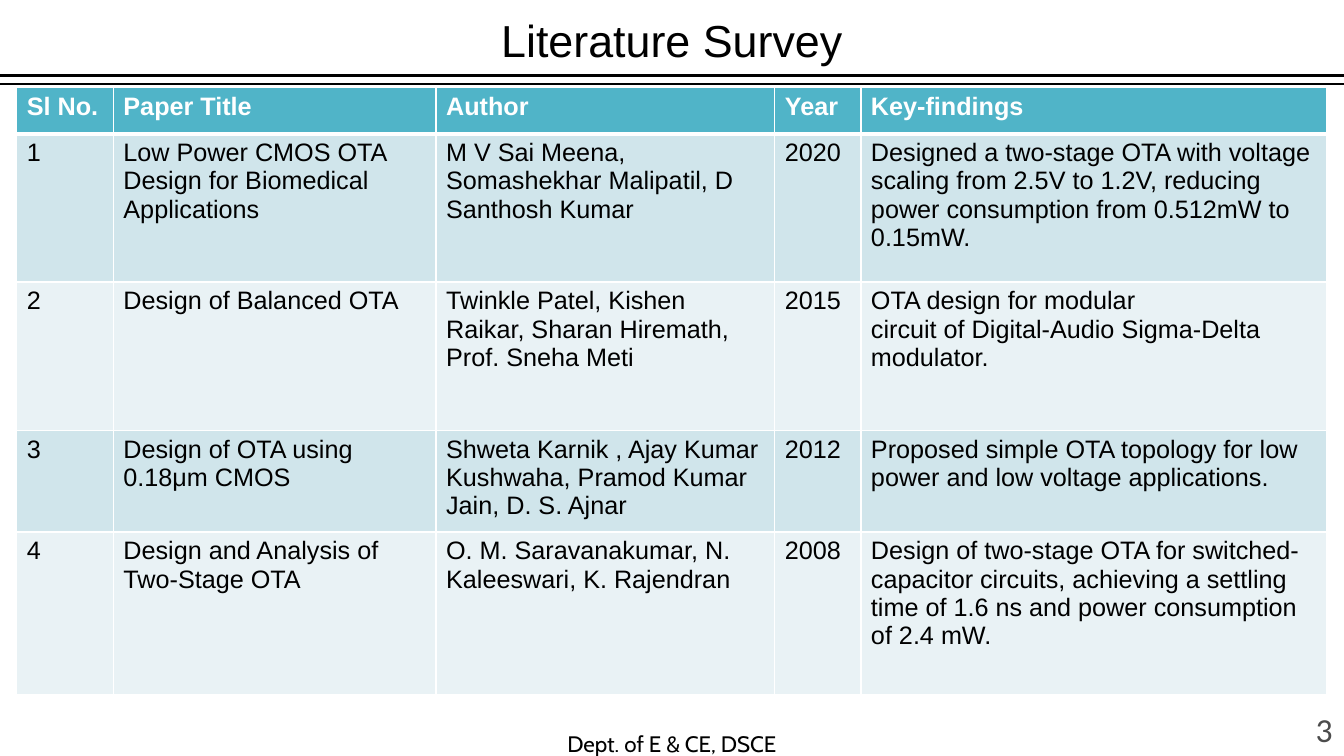
from lxml import etree
from pptx import Presentation
from pptx.dml.color import RGBColor
from pptx.enum.shapes import MSO_CONNECTOR, MSO_SHAPE
from pptx.enum.text import MSO_ANCHOR, PP_ALIGN
from pptx.oxml.ns import qn
from pptx.util import Pt

LEFT, CENTER, RIGHT = PP_ALIGN.LEFT, PP_ALIGN.CENTER, PP_ALIGN.RIGHT
TOP, MIDDLE, BOTTOM = MSO_ANCHOR.TOP, MSO_ANCHOR.MIDDLE, MSO_ANCHOR.BOTTOM

# Content
TITLE = "Literature Survey"
FOOTER = "Dept. of E & CE, DSCE"
PAGE_NUMBER = "3"
SURVEY = [
    ("Sl No.", "Paper Title", "Author", "Year", "Key-findings"),
    ("1", "Low Power CMOS OTA Design for Biomedical Applications",
     "M V Sai Meena, Somashekhar Malipatil, D Santhosh Kumar", "2020",
     "Designed a two-stage OTA with voltage scaling from 2.5V to 1.2V, "
     "reducing power consumption from 0.512mW to 0.15mW."),
    ("2", "Design of Balanced OTA",
     "Twinkle Patel, Kishen Raikar, Sharan Hiremath, Prof. Sneha Meti", "2015",
     "OTA design for modular\ncircuit of Digital-Audio Sigma-Delta modulator."),
    ("3", "Design of OTA using 0.18μm CMOS",
     "Shweta Karnik , Ajay Kumar Kushwaha, Pramod Kumar Jain, D. S. Ajnar", "2012",
     "Proposed simple OTA topology for low power and low voltage applications."),
    ("4", "Design and Analysis of Two-Stage OTA",
     "O. M. Saravanakumar, N. Kaleeswari, K. Rajendran", "2008",
     "Design of two-stage OTA for switched-capacitor circuits, achieving a "
     "settling time of 1.6 ns and power consumption of 2.4 mW."),
]

# Layout and colours
WIDTH, HEIGHT = 960, 540
RULES_Y = (54, 60)
TABLE_LEFT, TABLE_TOP = 12, 62.5
COLUMN_WIDTHS = (69, 230.5, 242, 61.5, 332.5)
ROW_HEIGHTS = (33, 106, 106, 72.5, 116.5)
BLACK, WHITE = "000000", "FFFFFF"
HEADER_FILL, BAND_FILLS = "50B4C8", ("D0E5EB", "E9F2F5")


def color(value):
    return RGBColor.from_string(value)


def write(text_frame, text, size, font, align=LEFT, anchor=TOP, ink=BLACK, bold=False):
    text_frame.text = text
    text_frame.word_wrap = True
    text_frame.vertical_anchor = anchor
    for paragraph in text_frame.paragraphs:
        paragraph.alignment = align
        for run in paragraph.runs:
            run.font.size, run.font.name, run.font.bold = Pt(size), font, bold
            run.font.color.rgb = color(ink)


def add_panel(preset, left, top, width, height):
    shape = slide.shapes.add_shape(preset, Pt(left), Pt(top), Pt(width), Pt(height))
    shape.shadow.inherit = False
    shape.fill.solid()
    shape.fill.fore_color.rgb = color(WHITE)
    shape.line.fill.background()
    return shape


def add_rule(y):
    line = slide.shapes.add_connector(MSO_CONNECTOR.STRAIGHT, 0, Pt(y), Pt(WIDTH), Pt(y))
    line.line.color.rgb = color(BLACK)
    line.line.width = Pt(2)
    etree.SubElement(line._element.spPr, qn("a:effectLst"))


def set_borders(cell, widths):
    properties = cell._tc.get_or_add_tcPr()
    for position, (side, width) in enumerate(widths.items()):
        border = etree.Element(qn(f"a:ln{side}"), w=str(Pt(width)))
        fill = etree.SubElement(border, qn("a:solidFill"))
        etree.SubElement(fill, qn("a:srgbClr"), val=WHITE)
        properties.insert(position, border)


presentation = Presentation()
presentation.slide_width, presentation.slide_height = Pt(WIDTH), Pt(HEIGHT)
slide = presentation.slides.add_slide(presentation.slide_layouts[6])

# Title and rules
title = add_panel(MSO_SHAPE.ROUNDED_RECTANGLE, 0, 0, WIDTH, 57)
write(title.text_frame, TITLE, 32, "Arial", CENTER, MIDDLE)
for rule_y in RULES_Y:
    add_rule(rule_y)

# Footer and page number
footer = slide.shapes.add_textbox(Pt(282), Pt(522), Pt(396), Pt(18))
write(footer.text_frame, FOOTER, 16, "Cabin", CENTER, MIDDLE)
page = add_panel(MSO_SHAPE.RECTANGLE, 913, 502.5, 46, 36)
write(page.text_frame, PAGE_NUMBER, 24, "Calibri", RIGHT, BOTTOM)
for ink in page.text_frame._txBody.iter(qn("a:srgbClr")):
    etree.SubElement(ink, qn("a:alpha"), val="70000")

# Survey table
table = slide.shapes.add_table(
    len(SURVEY), len(COLUMN_WIDTHS), Pt(TABLE_LEFT), Pt(TABLE_TOP),
    Pt(sum(COLUMN_WIDTHS)), Pt(sum(ROW_HEIGHTS))).table
for column, width in zip(table.columns, COLUMN_WIDTHS):
    column.width = Pt(width)
for index, (row, height, texts) in enumerate(zip(table.rows, ROW_HEIGHTS, SURVEY)):
    row.height = Pt(height)
    header = index == 0
    for cell, text in zip(row.cells, texts):
        write(cell.text_frame, text, 18, "Arial", ink=WHITE if header else BLACK, bold=header)
        cell.fill.solid()
        cell.fill.fore_color.rgb = color(HEADER_FILL if header else BAND_FILLS[(index - 1) % 2])
        set_borders(cell, {"L": 1, "R": 1, "T": 3 if index == 1 else 1, "B": 3 if header else 1})

presentation.save("out.pptx")
